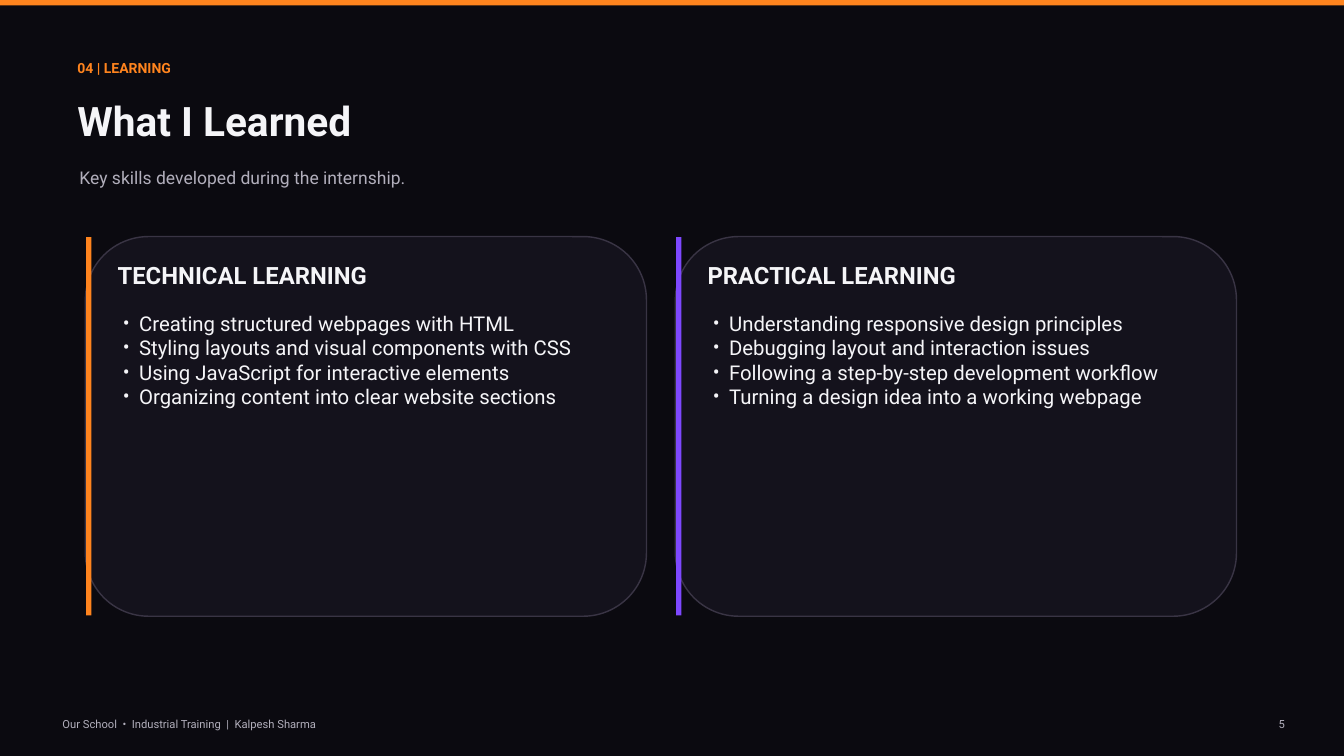
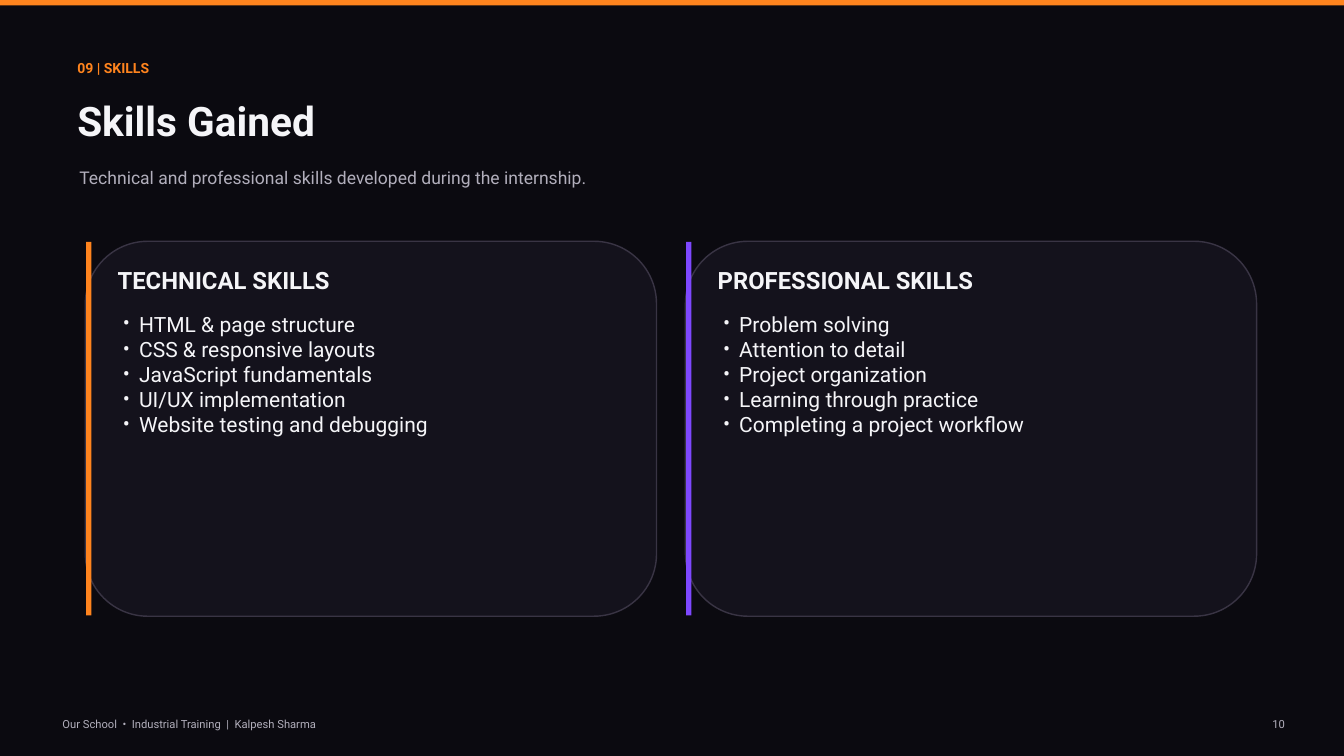
"""Build two dark two-card slides on internship learning and skills."""
from lxml import etree
from pptx import Presentation
from pptx.dml.color import RGBColor
from pptx.enum.shapes import MSO_SHAPE
from pptx.enum.text import PP_ALIGN
from pptx.oxml.ns import qn
from pptx.util import Inches, Pt

RECT = MSO_SHAPE.RECTANGLE
ROUNDED = MSO_SHAPE.ROUNDED_RECTANGLE
LEFT, RIGHT = PP_ALIGN.LEFT, PP_ALIGN.RIGHT

NIGHT = RGBColor(0x0B, 0x0A, 0x10)
PANEL = RGBColor(0x14, 0x12, 0x1C)
OUTLINE = RGBColor(0x39, 0x34, 0x44)
ORANGE = RGBColor(0xFF, 0x84, 0x1E)
PURPLE = RGBColor(0x7E, 0x48, 0xFF)
WHITE = RGBColor(0xF5, 0xF5, 0xF8)
GREY = RGBColor(0xB2, 0xAF, 0xBC)

FONT = "Roboto"
FOOTER = "Our School  •  Industrial Training  |  Kalpesh Sharma"
CARD_LEFT, CARD_BOTTOM, CARD_GAP = 1.27, 9.17, 0.43
BULLET_INDENT = 0.24

SLIDES = [
    {
        "label": "04 | LEARNING",
        "title": "What I Learned",
        "subtitle": "Key skills developed during the internship.",
        "number": "5",
        "card_top": 3.52,
        "card_width": 8.35,
        "list_size": 21.8,
        "cards": [
            ("TECHNICAL LEARNING", ORANGE, [
                "Creating structured webpages with HTML",
                "Styling layouts and visual components with CSS",
                "Using JavaScript for interactive elements",
                "Organizing content into clear website sections",
            ]),
            ("PRACTICAL LEARNING", PURPLE, [
                "Understanding responsive design principles",
                "Debugging layout and interaction issues",
                "Following a step-by-step development workflow",
                "Turning a design idea into a working webpage",
            ]),
        ],
    },
    {
        "label": "09 | SKILLS",
        "title": "Skills Gained",
        "subtitle": "Technical and professional skills developed during the internship.",
        "number": "10",
        "card_top": 3.59,
        "card_width": 8.5,
        "list_size": 22.5,
        "cards": [
            ("TECHNICAL SKILLS", ORANGE, [
                "HTML & page structure",
                "CSS & responsive layouts",
                "JavaScript fundamentals",
                "UI/UX implementation",
                "Website testing and debugging",
            ]),
            ("PROFESSIONAL SKILLS", PURPLE, [
                "Problem solving",
                "Attention to detail",
                "Project organization",
                "Learning through practice",
                "Completing a project workflow",
            ]),
        ],
    },
]


def add_box(s, kind, x, y, w, h, fill, line=None):
    """Add a filled shape, outlined when a line colour is given."""
    sp = s.shapes.add_shape(kind, Inches(x), Inches(y), Inches(w), Inches(h))
    sp.shadow.inherit = False
    sp.fill.solid()
    sp.fill.fore_color.rgb = fill
    if line is None:
        sp.line.fill.background()
    else:
        sp.line.color.rgb = line
        sp.line.width = Pt(1.5)


def add_bullet(p):
    """Give a paragraph a hanging bullet."""
    pPr = p._p.get_or_add_pPr()
    pPr.set("marL", str(Inches(BULLET_INDENT)))
    pPr.set("indent", str(-Inches(BULLET_INDENT)))
    etree.SubElement(pPr, qn("a:buFont"), typeface=FONT)
    etree.SubElement(pPr, qn("a:buChar"), char="•")


def add_text(s, x, y, w, h, text, size, color, bold=False, align=LEFT, bullets=False):
    """Add a text box without margins, one paragraph per line of text."""
    tf = s.shapes.add_textbox(Inches(x), Inches(y), Inches(w), Inches(h)).text_frame
    tf.word_wrap = True
    tf.margin_left = tf.margin_top = tf.margin_right = tf.margin_bottom = 0
    tf.text = text
    for p in tf.paragraphs:
        if bullets:
            add_bullet(p)
        p.alignment = align
        p.line_spacing = Pt(round(size * 1.2, 1))
        for r in p.runs:
            r.font.name = FONT
            r.font.size = Pt(size)
            r.font.bold = bold
            r.font.color.rgb = color


def add_frame(prs, label, title, subtitle, number):
    """Add a slide with its background, top band, headings and footer."""
    s = prs.slides.add_slide(prs.slide_layouts[6])
    s.background.fill.solid()
    s.background.fill.fore_color.rgb = NIGHT
    add_box(s, RECT, 0, 0, 20.02, 0.08, ORANGE)
    add_text(s, 1.15, 0.88, 17.51, 0.43, label, 15, ORANGE, bold=True)
    add_text(s, 1.15, 1.43, 17.51, 0.98, title, 43.5, WHITE, bold=True)
    add_text(s, 1.18, 2.48, 17.21, 0.65, subtitle, 18.8, GREY)
    add_text(s, 0.93, 10.68, 17.06, 0.23, FOOTER, 12, GREY)
    add_text(s, 18.64, 10.68, 0.48, 0.23, number, 12, GREY, align=RIGHT)
    return s


def add_card(s, x, y, w, heading, accent, items, size):
    """Add a rounded card with an accent bar, a heading and a bullet list."""
    h = CARD_BOTTOM - y
    add_box(s, ROUNDED, x, y, w, h, PANEL, OUTLINE)
    add_box(s, RECT, x + 0.01, y + 0.01, 0.08, h - 0.02, accent)
    add_text(s, x + 0.48, y + 0.36, w - 0.89, 0.5, heading, 25.5, WHITE, bold=True)
    add_text(s, x + 0.56, 4.63, 7.16, 3.65, "\n".join(items), size, WHITE, bullets=True)


def main():
    """Build and save the presentation."""
    prs = Presentation()
    prs.slide_width, prs.slide_height = Inches(20), Inches(11.25)
    for page in SLIDES:
        s = add_frame(prs, page["label"], page["title"], page["subtitle"], page["number"])
        w = page["card_width"]
        for i, (heading, accent, items) in enumerate(page["cards"]):
            x = CARD_LEFT + i * (w + CARD_GAP)
            add_card(s, x, page["card_top"], w, heading, accent, items, page["list_size"])
    prs.save("out.pptx")


if __name__ == "__main__":
    main()
